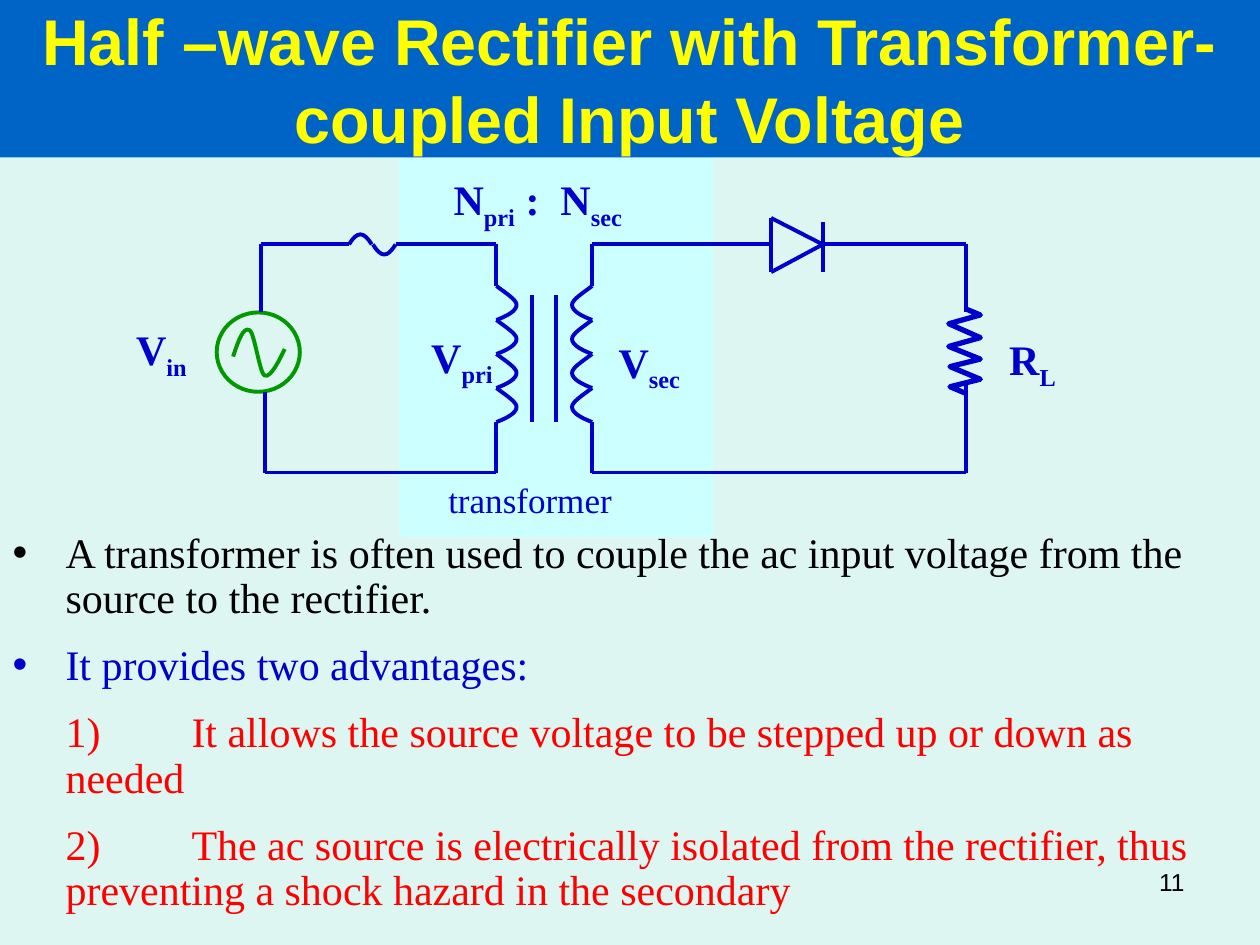
from itertools import pairwise

from lxml import etree
from pptx import Presentation
from pptx.dml.color import RGBColor
from pptx.enum.shapes import MSO_CONNECTOR, MSO_SHAPE
from pptx.enum.text import MSO_ANCHOR, MSO_AUTO_SIZE, PP_ALIGN
from pptx.oxml.ns import qn
from pptx.util import Inches, Pt

LEFT, CENTER, RIGHT = PP_ALIGN.LEFT, PP_ALIGN.CENTER, PP_ALIGN.RIGHT
STRAIGHT = MSO_CONNECTOR.STRAIGHT
SERIF, SANS = "Times New Roman", "Arial"
BLUE, GREEN, BLACK, RED = "0000CC", "009900", "000000", "FF0000"
rgb = RGBColor.from_string

# Columns and rows of the circuit, in inches
SOURCE, RETURN, PRIMARY, SECONDARY = 2.07, 2.1, 3.94, 4.7
ANODE, CATHODE, LOAD = 6.12, 6.53, 7.67
FUSE_START, FUSE_MID, FUSE_END = 2.77, 2.96, 3.14
TOP, BOTTOM = 1.94, 3.75
COIL_TOP, COIL_BOTTOM, TURN = 2.27, 3.35, 0.27


def outline(shape, color, width=2.25):
    """Give a shape or connector a plain line without shadow."""
    shape.line.color.rgb = rgb(color)
    shape.line.width = Pt(width)
    etree.SubElement(shape._element.spPr, qn("a:effectLst"))


def add_run(paragraph, text, size, color, font=SERIF, bold=False, baseline=0):
    run = paragraph.add_run()
    run.text = text
    run.font.size, run.font.name, run.font.bold = Pt(size), font, bold
    run.font.color.rgb = rgb(color)
    if baseline:
        run._r.get_or_add_rPr().set("baseline", str(baseline * 1000))


prs = Presentation()
prs.slide_width, prs.slide_height = Inches(10), Inches(7.5)
slide = prs.slides.add_slide(prs.slide_layouts[1])
slide.background.fill.solid()
slide.background.fill.fore_color.rgb = rgb("DEF6F1")

# Title band
title = slide.shapes.title
title.left, title.top = 0, 0
title.width, title.height = prs.slide_width, prs.slide_height // 6
title.fill.solid()
title.fill.fore_color.rgb = rgb("0063C6")
title.text_frame.auto_size = MSO_AUTO_SIZE.NONE
title.text_frame.vertical_anchor = MSO_ANCHOR.MIDDLE
heading = title.text_frame.paragraphs[0]
heading.alignment = CENTER
add_run(heading, "Half –wave Rectifier with Transformer-coupled Input Voltage",
        36.9, "FFFF00", SANS, True)

# Advantages of the transformer
body = slide.placeholders[1]
body.left, body.top, body.width, body.height = (
    Inches(v) for v in (0, 4.17, 9.79, 2.58))
body.text_frame.auto_size = MSO_AUTO_SIZE.NONE
points = [
    (True, BLACK, "A transformer is often used to couple the ac input voltage "
                  "from the source to the rectifier."),
    (True, BLUE, "It provides two advantages:"),
    (False, RED, "\t1) \tIt allows the source voltage to be stepped up or down as needed"),
    (False, RED, "\t2) \tThe ac source is electrically isolated from the rectifier, "
                 "thus preventing a shock hazard in the secondary"),
]
for index, (bulleted, color, text) in enumerate(points):
    point = (body.text_frame.add_paragraph() if index
             else body.text_frame.paragraphs[0])
    properties = point._p.get_or_add_pPr()
    properties.set("marL", str(Inches(0.42)))
    properties.set("indent", str(-Inches(0.42)))
    properties.set("defTabSz", str(Inches(1)))
    if not bulleted:
        etree.SubElement(properties, qn("a:buNone"))
    point.line_spacing = 0.9
    point.space_before, point.space_after = Pt(0), Pt(12.5)
    add_run(point, text, 24, color)

# Transformer area and source
circuit = slide.shapes.add_group_shape().shapes
area = circuit.add_shape(MSO_SHAPE.RECTANGLE, Inches(3.19), Inches(1.25),
                         Inches(2.45), Inches(2.99))
outline(area, "CCFFFF", 3)
area.fill.solid()
area.fill.fore_color.rgb = rgb("CCFFFF")
source = circuit.add_shape(MSO_SHAPE.OVAL, Inches(1.72), Inches(2.48),
                           Inches(0.66), Inches(0.63))
outline(source, GREEN)
source.fill.background()

# Curves: a start point followed by three points per cubic Bezier segment
curves = [(GREEN, [(1.85, 2.83), (1.89, 2.71), (1.93, 2.59), (1.98, 2.62),
                   (2.02, 2.64), (2.06, 2.96), (2.1, 2.98),
                   (2.15, 3.01), (2.24, 2.81), (2.26, 2.77)])]
hump = [(0, 0), (0.03, 0.05), (0.06, 0.08), (0.09, 0.08),
        (0.12, 0.08), (0.15, 0.05), (0.18, 0)]
for start, side in [(FUSE_START, -1), (FUSE_MID, 1)]:
    curves.append((BLUE, [(start + x, TOP + side * y) for x, y in hump]))
bulge = [(0, 0), (0.08, 0.06), (0.16, 0.11), (0.16, 0.15),
         (0.16, 0.2), (0.08, 0.24), (0, TURN)]
for column, side in [(PRIMARY, 1), (SECONDARY, -1)]:
    for turn in range(4):
        curves.append((BLUE, [(column + side * x, COIL_TOP + turn * TURN + y)
                              for x, y in bulge]))
resistor = [(7.66, 3.12), (7.54, 3.07), (7.78, 3.01), (7.54, 2.91), (7.78, 2.85),
            (7.53, 2.75), (7.78, 2.68), (7.53, 2.57), (7.78, 2.5), (7.66, 2.45)]

strokes = [(color, 2.25, True, knots) for color, knots in curves]
strokes.append((BLUE, 3, False, resistor))
for color, width, curved, knots in strokes:
    (x, y), *rest = [(Inches(px), Inches(py)) for px, py in knots]
    builder = circuit.build_freeform(x, y)
    builder.add_line_segments(rest, close=False)
    stroke = builder.convert_to_shape()
    outline(stroke, color, width)
    stroke.fill.background()
    if curved:
        route = next(stroke._element.iter(qn("a:path")))
        legs = route.findall(qn("a:lnTo"))
        for first in range(0, len(legs), 3):
            bezier = etree.SubElement(route, qn("a:cubicBezTo"))
            for leg in legs[first:first + 3]:
                bezier.append(leg[0])
                route.remove(leg)

# Wires, transformer core and diode
wires = [
    [(SOURCE, 2.48), (SOURCE, TOP), (FUSE_START, TOP)],
    [(FUSE_END, TOP), (PRIMARY, TOP), (PRIMARY, COIL_TOP)],
    [(PRIMARY, COIL_BOTTOM), (PRIMARY, BOTTOM), (RETURN, BOTTOM), (RETURN, 3.11)],
    [(4.22, 2.34), (4.22, COIL_BOTTOM)],
    [(4.41, 2.34), (4.41, COIL_BOTTOM)],
    [(SECONDARY, COIL_TOP), (SECONDARY, TOP), (ANODE, TOP)],
    [(ANODE, 1.73), (ANODE, 2.16), (CATHODE, TOP), (ANODE, 1.73)],
    [(CATHODE, 1.76), (CATHODE, 2.16)],
    [(CATHODE, TOP), (LOAD, TOP), (LOAD, 2.48)],
    [(LOAD, 3.05), (LOAD, BOTTOM), (SECONDARY, BOTTOM), (SECONDARY, COIL_BOTTOM)],
]
for wire in wires:
    for start, end in pairwise(wire):
        segment = circuit.add_connector(STRAIGHT, *(Inches(v) for v in start + end))
        outline(segment, BLUE)

# Labels: parent, box, inset, alignment, then runs as add_run takes them
symbols = [
    ((3.6, 1.38, 1.75, 0.57), LEFT, ["N", "pri", " :  N", "sec"]),
    ((3.03, 2.63, 0.88, 0.44), RIGHT, ["V", "pri"]),
    ((4.91, 2.67, 0.8, 0.56), LEFT, ["V", "sec"]),
    ((8.01, 2.65, 0.63, 0.55), LEFT, ["R", "L"]),
    ((1.08, 2.57, 0.59, 0.61), LEFT, ["V", "in"]),
]
labels = [(circuit, box, 0, align, [(part, 24, BLUE, SERIF, True, -25 * (i % 2))
                                    for i, part in enumerate(parts)])
          for box, align, parts in symbols]
labels += [
    (circuit, (3.46, BOTTOM, 3.46, 0.43), 1, LEFT, [("transformer", 20, BLUE)]),
    (slide.shapes, (7.17, 6.83, 2.33, 0.52), 1, RIGHT, [("11", 14, BLACK, SANS)]),
]
for parent, box, inset, align, runs in labels:
    frame = parent.add_textbox(*(Inches(v) for v in box)).text_frame
    frame.word_wrap = True
    frame.margin_left = frame.margin_right = Inches(0.1 * inset)
    frame.margin_top = frame.margin_bottom = Inches(0.05 * inset)
    frame.paragraphs[0].alignment = align
    for run in runs:
        add_run(frame.paragraphs[0], *run)

# The title band covers the upper edge of the transformer area
slide.shapes._spTree.append(title._element)

prs.save("out.pptx")
